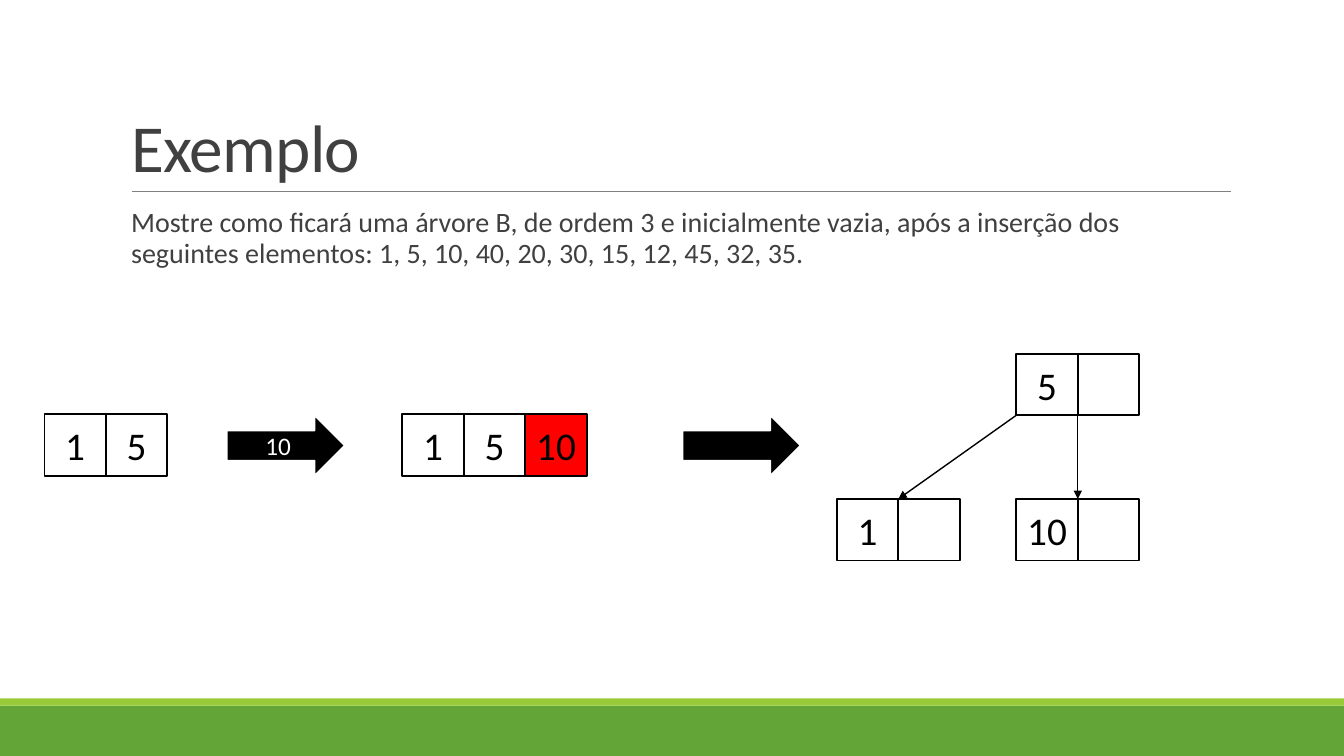
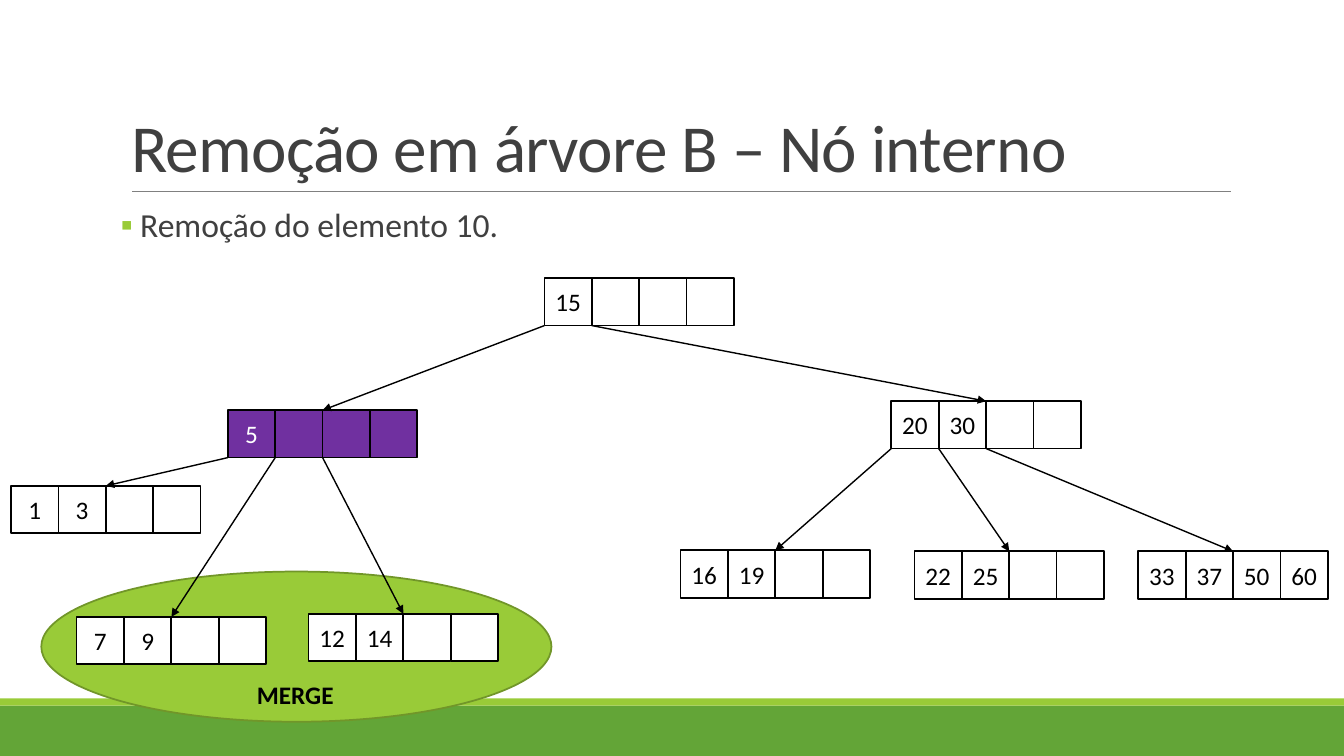
from dataclasses import dataclass

from lxml import etree
from pptx import Presentation
from pptx.dml.color import RGBColor
from pptx.enum.shapes import MSO_CONNECTOR, MSO_SHAPE
from pptx.enum.text import MSO_ANCHOR, MSO_AUTO_SIZE, PP_ALIGN
from pptx.oxml.ns import qn
from pptx.util import Inches, Pt

RECT, OVAL, ARROW = MSO_SHAPE.RECTANGLE, MSO_SHAPE.OVAL, MSO_SHAPE.RIGHT_ARROW
STRAIGHT = MSO_CONNECTOR.STRAIGHT
LEFT, CENTER = PP_ALIGN.LEFT, PP_ALIGN.CENTER
MIDDLE, BOTTOM = MSO_ANCHOR.MIDDLE, MSO_ANCHOR.BOTTOM
FIXED = MSO_AUTO_SIZE.NONE

WHITE = RGBColor(0xFF, 0xFF, 0xFF)
BLACK = RGBColor(0x00, 0x00, 0x00)
DARK = RGBColor(0x40, 0x40, 0x40)
GREY = RGBColor(0x80, 0x80, 0x80)
GREEN = RGBColor(0x63, 0xA5, 0x37)
LIME = RGBColor(0x99, 0xCB, 0x38)
OLIVE = RGBColor(0x71, 0x96, 0x29)
RED = RGBColor(0xFF, 0x00, 0x00)
PURPLE = RGBColor(0x70, 0x30, 0xA0)
FONT = "Calibri"


@dataclass
class Node:
    """Place of a tree node: left, top, cell side and number of cells."""
    x: float
    y: float
    side: float
    count: int


class Deck:
    def __init__(self):
        self.prs = Presentation()
        self.prs.slide_width = Inches(13.33)
        self.prs.slide_height = Inches(7.5)
        self.slide = None

    def style(self, para, size, color, bold=False):
        for run in para.runs:
            font = run.font
            font.name, font.size, font.bold = FONT, Pt(size), bold
            font.color.rgb = color

    def place(self, shape, x, y, w, h):
        shape.left, shape.top = Inches(x), Inches(y)
        shape.width, shape.height = Inches(w), Inches(h)

    def page(self, title):
        self.slide = self.prs.slides.add_slide(self.prs.slide_layouts[1])
        # Bands and title rule
        self.shape(RECT, 0, 7, 13.33, 0.5, GREEN)
        self.shape(RECT, 0, 6.93, 13.33, 0.07, LIME)
        self.line(1.31, 1.9, 12.21, 1.9, GREY, 0.5)
        # Title
        head = self.slide.shapes.title
        self.place(head, 1.2, 0.31, 11, 1.59)
        frame = head.text_frame
        frame.text = title
        frame.auto_size, frame.vertical_anchor = FIXED, BOTTOM
        para = frame.paragraphs[0]
        para.alignment, para.line_spacing = LEFT, 0.85
        self.style(para, 48, DARK)
        para.runs[0].font._element.set("spc", "-50")

    def body(self, text, size, indent, bullet=None):
        box = self.slide.placeholders[1]
        self.place(box, 1.2, 2.02, 11, 4.4)
        frame = box.text_frame
        frame.text = text
        frame.auto_size = FIXED
        frame.margin_left = frame.margin_right = 0
        para = frame.paragraphs[0]
        para.line_spacing = 0.9
        para.space_before, para.space_after = Pt(0), Pt(2)
        props = para._p.get_or_add_pPr()
        props.set("marL", str(Inches(indent)))
        props.set("indent", str(-Inches(indent) if bullet else 0))
        if bullet:
            tint = etree.SubElement(props, qn("a:buClr"))
            etree.SubElement(tint, qn("a:srgbClr"), val=str(LIME))
            etree.SubElement(props, qn("a:buFont"), typeface=FONT)
            etree.SubElement(props, qn("a:buChar"), char=bullet)
        else:
            etree.SubElement(props, qn("a:buNone"))
        self.style(para, size, DARK)

    def shape(self, kind, x, y, w, h, fill, edge=None, text="", size=18,
              color=BLACK, home=None):
        shapes = (home or self.slide).shapes
        item = shapes.add_shape(kind, Inches(x), Inches(y), Inches(w), Inches(h))
        item.shadow.inherit = False
        item.fill.solid()
        item.fill.fore_color.rgb = fill
        if edge is None:
            item.line.fill.background()
        else:
            item.line.color.rgb, item.line.width = edge, Pt(1.25)
        if text:
            frame = item.text_frame
            frame.text = text
            frame.margin_left = frame.margin_right = 0
            frame.vertical_anchor = MIDDLE
            para = frame.paragraphs[0]
            para.alignment = CENTER
            self.style(para, size, color)

    def line(self, x1, y1, x2, y2, color=BLACK, width=1, head=False):
        item = self.slide.shapes.add_connector(
            STRAIGHT, Inches(x1), Inches(y1), Inches(x2), Inches(y2))
        item.line.color.rgb, item.line.width = color, Pt(width)
        if head:
            etree.SubElement(item.line._get_or_add_ln(), qn("a:tailEnd"),
                             type="triangle")
        etree.SubElement(item._element.spPr, qn("a:effectLst"))

    def node(self, x, y, side, size, keys, count, fill=WHITE, color=BLACK,
             extra=None):
        """Draw a row of cells; keys past count take the extra fill."""
        group = self.slide.shapes.add_group_shape()
        for i in range(max(count, len(keys))):
            text = str(keys[i]) if i < len(keys) else ""
            self.shape(RECT, x + i * side, y, side, side,
                       fill if i < count else extra, BLACK, text, size, color,
                       group)
        return Node(x, y, side, count)

    def link(self, top, slot, low):
        """Point from a slot under one node to the top middle of another."""
        self.line(top.x + slot * top.side, top.y + top.side,
                  low.x + low.count * low.side / 2, low.y, head=True)

    def label(self, x, y, w, h, text):
        box = self.slide.shapes.add_textbox(
            Inches(x), Inches(y), Inches(w), Inches(h))
        box.text_frame.text = text
        self.style(box.text_frame.paragraphs[0], 18, BLACK, True)


def insert(deck):
    deck.page("Exemplo")
    deck.body("Mostre como ficará uma árvore B, de ordem 3 e inicialmente vazia, "
              "após a inserção dos seguintes elementos: 1, 5, 10, 40, 20, 30, 15, "
              "12, 45, 32, 35.", 20, 0.1)

    def pair(x, y, *keys):
        return deck.node(x, y, 0.61, 28, keys, 2, extra=RED)

    # Full node, then overflow
    pair(0.44, 4.11, 1, 5)
    deck.shape(ARROW, 2.25, 4.12, 1.17, 0.6, BLACK, WHITE, "10", color=WHITE)
    pair(3.99, 4.11, 1, 5, 10)
    deck.shape(ARROW, 6.77, 4.12, 1.17, 0.6, BLACK, WHITE)

    # Tree after the split
    root = pair(10.08, 3.51, 5)
    for slot, low in enumerate([pair(8.3, 4.95, 1), pair(10.08, 4.95, 10)]):
        deck.link(root, slot, low)


def remove(deck):
    deck.page("Remoção em árvore B – Nó interno")
    deck.body("Remoção do elemento 10.", 24, 0.19, "▪")
    deck.shape(OVAL, 0.41, 5.67, 5.06, 1.49, LIME, OLIVE)

    def quad(x, y, *keys, **look):
        return deck.node(x, y, 0.47, 18, keys, 4, **look)

    # Inner nodes
    root = quad(5.4, 2.76, 15)
    small = quad(2.26, 4.07, 5, fill=PURPLE, color=WHITE)
    large = quad(8.84, 3.98, 20, 30)

    # Leaves under each inner node
    tree = [
        (root, [small, large]),
        (small, [quad(0.11, 4.82, 1, 3), quad(0.76, 6.12, 7, 9),
                 quad(3.06, 6.09, 12, 14)]),
        (large, [quad(6.75, 5.46, 16, 19), quad(9.07, 5.47, 22, 25),
                 quad(11.29, 5.47, 33, 37, 50, 60)]),
    ]
    for top, lows in tree:
        for slot, low in enumerate(lows):
            deck.link(top, slot, low)
    deck.label(2.45, 6.69, 0.97, 0.4, "MERGE")


def main():
    deck = Deck()
    insert(deck)
    remove(deck)
    deck.prs.save("out.pptx")


if __name__ == "__main__":
    main()
